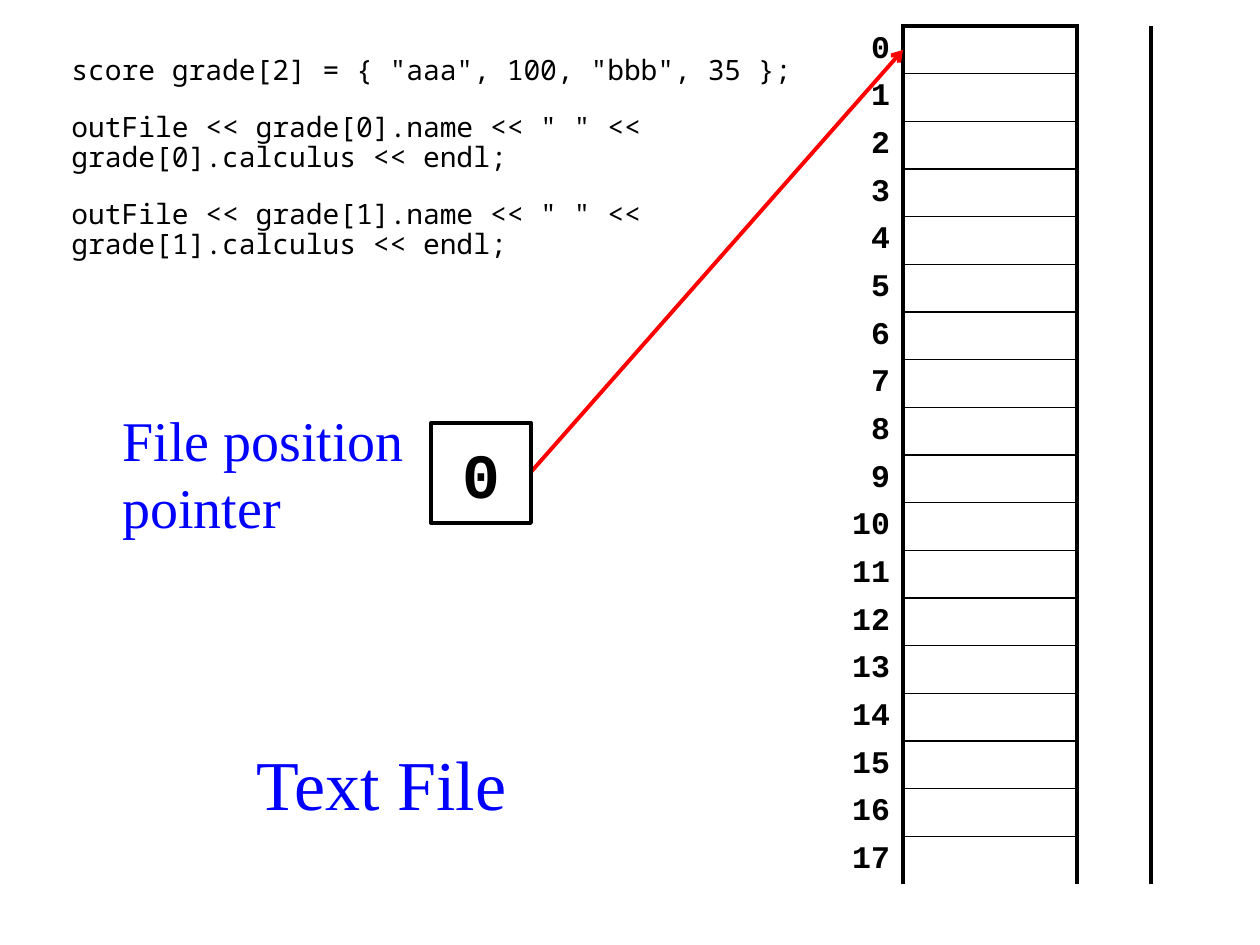
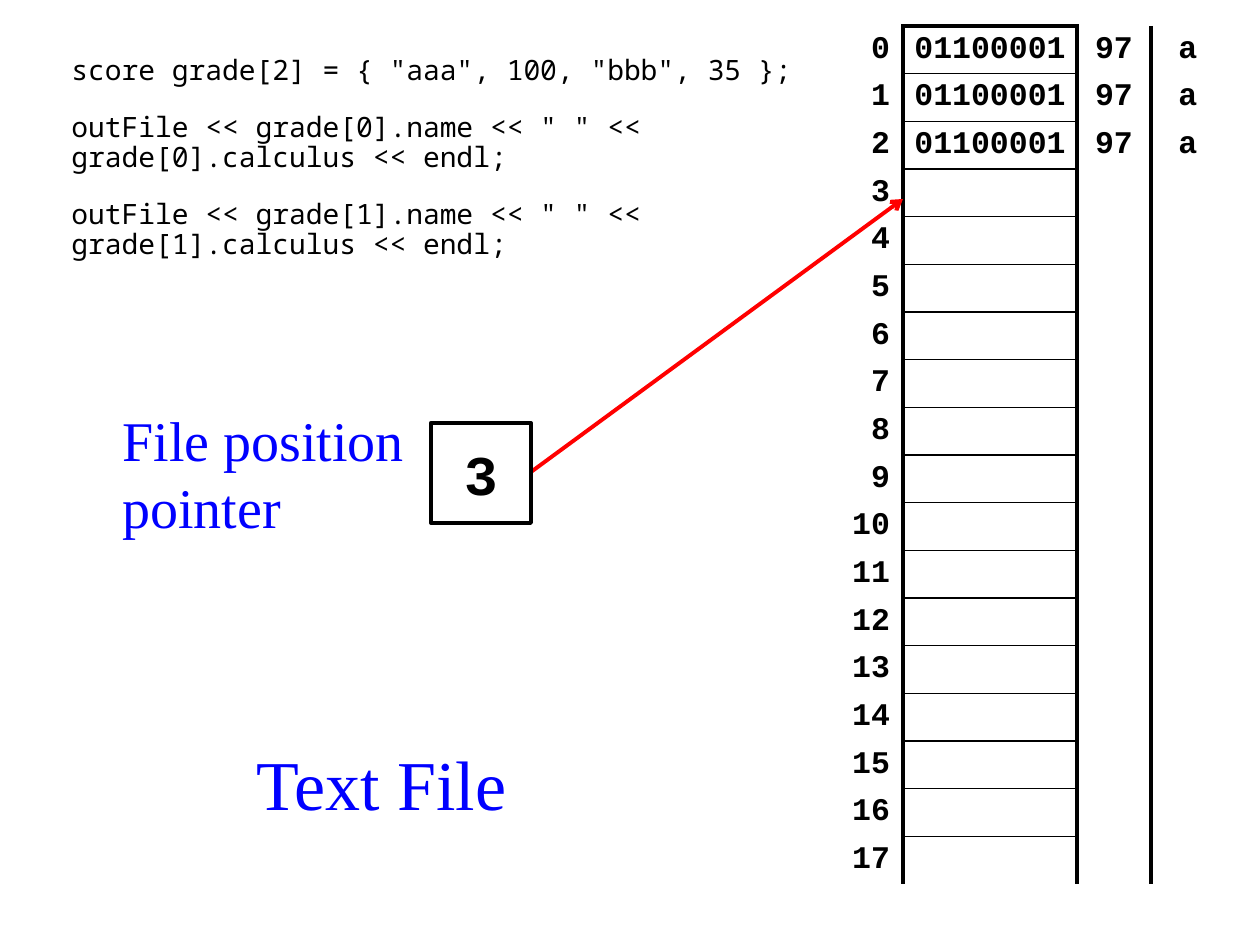
from lxml.etree import SubElement
from pptx import Presentation
from pptx.dml.color import RGBColor
from pptx.enum.shapes import MSO_CONNECTOR, MSO_SHAPE
from pptx.enum.text import MSO_ANCHOR, PP_ALIGN
from pptx.oxml.ns import qn
from pptx.util import Emu, Pt

BLACK = RGBColor(0, 0, 0)
BLUE = RGBColor(0, 0, 255)
RED = RGBColor(255, 0, 0)
MONO, CODE, SERIF = "Courier New", "Noto Sans Mono", "Times New Roman"
PLAIN = "{2D5ABB26-0587-4C30-8999-92F81FD0307C}"
THICK, THIN = 2.25, 1
ROWS = 18
WIDTHS = (74, 174, 74, 74)
LINES = (
    'score grade[2] = { "aaa", 100, "bbb", 35 };',
    'outFile << grade[0].name << " " << grade[0].calculus << endl;',
    'outFile << grade[1].name << " " << grade[1].calculus << endl;',
)


def px(count):
    return Emu(round(count * 914400 / 126))


def scale(box):
    return [px(side) for side in box]


def write(para, text, size, font, color, bold=False, align=PP_ALIGN.LEFT):
    para.alignment = align
    run = para.add_run()
    run.text = text
    run.font.size = Pt(size)
    run.font.name = font
    run.font.bold = bold
    run.font.color.rgb = color


def add_text(slide, box, lines, size, font, color, wrap=True,
             align=PP_ALIGN.LEFT, anchor=MSO_ANCHOR.MIDDLE, gap=0, pitch=1.0):
    frame = slide.shapes.add_textbox(*scale(box)).text_frame
    frame.word_wrap = wrap
    frame.vertical_anchor = anchor
    for row, line in enumerate(lines):
        para = frame.paragraphs[0] if row == 0 else frame.add_paragraph()
        para.line_spacing = pitch
        if row:
            para.space_before = Pt(gap)
        write(para, line, size, font, color, align=align)


def add_edge(cell, side, width):
    props = cell._tc.get_or_add_tcPr()
    line = SubElement(props, qn(f"a:ln{side}"), w=str(Pt(width)))
    fill = SubElement(line, qn("a:solidFill"))
    SubElement(fill, qn("a:srgbClr"), val=str(BLACK))


def get_edges(row, col):
    if col == 0:
        return {"R": THICK}
    if col == 2:
        return {"L": THICK}
    if col == 3:
        return {}
    edges = {"L": THICK, "R": THICK, "T": THIN if row else THICK}
    if row < ROWS - 1:
        edges["B"] = THIN
    return edges


def add_bytes(slide, box, data):
    left, top, width, height = box
    table = slide.shapes.add_table(ROWS, len(WIDTHS), *scale(box)).table
    table.first_row = table.horz_banding = False
    table._tbl.tblPr.find(qn("a:tableStyleId")).text = PLAIN
    for col, wide in enumerate(WIDTHS):
        table.columns[col].width = px(wide)
    for row in range(ROWS):
        table.rows[row].height = px(height // ROWS)
        texts = (str(row), *(data[row] if row < len(data) else ("", "", "")))
        for col, text in enumerate(texts):
            cell = table.cell(row, col)
            cell.vertical_anchor = MSO_ANCHOR.MIDDLE
            side = (10 if col == 1 else 13) if text else 0
            cell.margin_left = cell.margin_right = px(side)
            cell.margin_top = cell.margin_bottom = px(6 if text else 0)
            for edge, wide in get_edges(row, col).items():
                add_edge(cell, edge, wide)
            cell.fill.background()
            if text:
                align = PP_ALIGN.CENTER if col else PP_ALIGN.RIGHT
                write(cell.text_frame.paragraphs[0], text, 18, MONO, BLACK,
                      True, align)


def add_arrow(slide, start, end):
    line = slide.shapes.add_connector(
        MSO_CONNECTOR.STRAIGHT, *scale(start), *scale(end))
    line.line.color.rgb = RED
    line.line.width = Pt(THICK)
    SubElement(line.line._get_or_add_ln(), qn("a:tailEnd"), type="arrow")
    SubElement(line._element.spPr, qn("a:effectLst"))


def add_value(slide, box, text, size):
    shape = slide.shapes.add_shape(MSO_SHAPE.RECTANGLE, *scale(box))
    shape.shadow.inherit = False
    shape.fill.background()
    shape.line.color.rgb = BLACK
    shape.line.width = Pt(THICK)
    frame = shape.text_frame
    frame.word_wrap = False
    frame.vertical_anchor = MSO_ANCHOR.MIDDLE
    write(frame.paragraphs[0], text, size, MONO, BLACK, True, PP_ALIGN.CENTER)


def add_pointer(slide, box, text, size, end):
    left, top, width, height = box
    side = 100
    edge = left + width
    add_arrow(slide, (edge + side - 1, top + height // 2), end)
    add_value(slide, (edge - 1, top + 25, side, side), text, size)
    add_text(slide, box, ("File position", "pointer"), 32, SERIF, BLUE,
             wrap=False)


def add_state(deck, value, size, tip, data):
    slide = deck.slides.add_slide(deck.slide_layouts[6])
    add_bytes(slide, (829, 26, sum(WIDTHS), 47 * ROWS), data)
    add_text(slide, (233, 721, 297, 123), ("Text File",), 40, SERIF, BLUE,
             align=PP_ALIGN.CENTER)
    add_text(slide, (59, 50, 794, 248), LINES, 16, CODE, BLACK,
             anchor=MSO_ANCHOR.TOP, gap=15.3, pitch=0.9)
    add_pointer(slide, (110, 398, 322, 149), value, size, (903, tip))


def main():
    deck = Presentation()
    deck.slide_width, deck.slide_height = px(1260), px(945)
    add_state(deck, "0", 36, 50, ())
    add_state(deck, "3", 32, 199, [("01100001", "97", "a")] * 3)
    deck.save("out.pptx")


if __name__ == "__main__":
    main()
